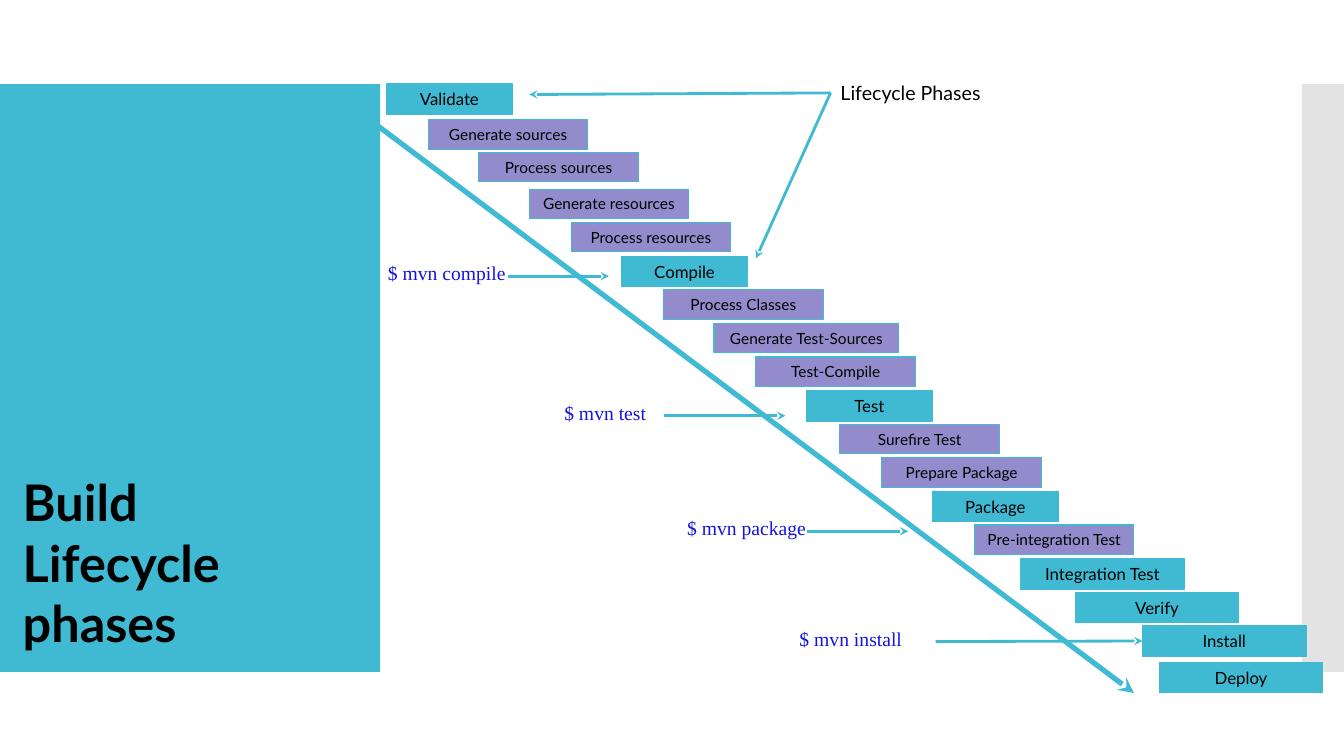
from lxml import etree
from pptx import Presentation
from pptx.dml.color import RGBColor
from pptx.enum.shapes import MSO_CONNECTOR, MSO_SHAPE
from pptx.enum.text import MSO_ANCHOR, MSO_AUTO_SIZE, PP_ALIGN
from pptx.oxml.ns import qn
from pptx.util import Pt

PX = 9525
RECTANGLE = MSO_SHAPE.RECTANGLE
STRAIGHT = MSO_CONNECTOR.STRAIGHT
TOP, MIDDLE = MSO_ANCHOR.TOP, MSO_ANCHOR.MIDDLE
LEFT, CENTER = PP_ALIGN.LEFT, PP_ALIGN.CENTER
GROW = MSO_AUTO_SIZE.SHAPE_TO_FIT_TEXT
TEAL, PURPLE, GREY, BLACK, BLUE = "40BAD2", "938BCB", "C8C8C8", "000000", "1414DE"
LEFT_SIDE = 1


def color(hex_text):
    return RGBColor.from_string(hex_text)


def write(shape, text, size, font, ink, align=LEFT, anchor=TOP, bold=False):
    frame = shape.text_frame
    frame.word_wrap = True
    frame.auto_size = GROW
    frame.vertical_anchor = anchor
    para = frame.paragraphs[0]
    para.alignment = align
    span = para.add_run()
    span.text = text
    span.font.size = Pt(size)
    span.font.name = font
    span.font.bold = bold
    span.font.color.rgb = color(ink)


deck = Presentation()
deck.slide_width, deck.slide_height = 1280 * PX, 720 * PX
page = deck.slides.add_slide(deck.slide_layouts[5])
shapes = page.shapes

for left, width, fill in [(0, 362, TEAL), (1240, 40, GREY)]:
    panel = shapes.add_shape(RECTANGLE, left * PX, 80 * PX, width * PX, 560 * PX)
    panel.shadow.inherit = False
    panel.fill.solid()
    panel.fill.fore_color.rgb = color(fill)
    panel.line.fill.background()
    if fill == GREY:
        shade = panel.element.spPr.find(qn("a:solidFill")).find(qn("a:srgbClr"))
        etree.SubElement(shade, qn("a:alpha"), val="50000")

title = shapes.title
title.left, title.top, title.width, title.height = 12 * PX, 444 * PX, 318 * PX, 126 * PX
write(title, "Build Lifecycle phases", 36, "Lato", BLACK, bold=True)
title.element.getparent().append(title.element)

phases = [
    ("Validate", 368, 80, 120, TEAL),
    ("Generate sources", 408, 114, 152, PURPLE),
    ("Process sources", 456, 145, 152, PURPLE),
    ("Generate resources", 504, 180, 152, PURPLE),
    ("Process resources", 544, 212, 152, PURPLE),
    ("Compile", 592, 244, 120, TEAL),
    ("Process Classes", 632, 276, 152, PURPLE),
    ("Generate Test-Sources", 680, 308, 176, PURPLE),
    ("Test-Compile", 720, 340, 152, PURPLE),
    ("Test", 768, 372, 120, TEAL),
    ("Surefire Test", 800, 404, 152, PURPLE),
    ("Prepare Package", 840, 436, 152, PURPLE),
    ("Package", 888, 468, 120, TEAL),
    ("Pre-integration Test", 928, 500, 152, PURPLE),
    ("Integration Test", 972, 532, 156, TEAL),
    ("Verify", 1024, 564, 156, TEAL),
    ("Install", 1088, 596, 156, TEAL),
    ("Deploy", 1104, 631, 156, TEAL),
]
phase_boxes = {}
for name, left, top, width, fill in phases:
    height, size = (29, 12) if fill == TEAL else (28, 11)
    box = shapes.add_shape(RECTANGLE, left * PX, top * PX, width * PX, height * PX)
    box.shadow.inherit = False
    box.fill.solid()
    box.fill.fore_color.rgb = color(fill)
    box.line.color.rgb = color(TEAL)
    box.line.width = Pt(0.75)
    write(box, name, size, "Lato", BLACK, CENTER, MIDDLE)
    phase_boxes[name] = box

labels = [
    ("Lifecycle Phases", 791, 72, 199, "Lato", BLACK),
    ("$ mvn compile", 360, 244, 152, "Times New Roman", BLUE),
    ("$ mvn test", 528, 377, 152, "Times New Roman", BLUE),
    ("$ mvn package", 645, 487, 152, "Times New Roman", BLUE),
    ("$ mvn install", 752, 592, 152, "Times New Roman", BLUE),
]
label_boxes = {}
for text, left, top, width, font, ink in labels:
    box = shapes.add_textbox(left * PX, top * PX, width * PX, 33 * PX)
    write(box, text, 14, font, ink)
    label_boxes[text] = box

legend = label_boxes["Lifecycle Phases"]
arrows = [
    (344, 108, 1080, 660, 3.75, None, None),
    (791, 88, 720, 246, 2, legend, None),
    (791, 88, 504, 90, 2, legend, None),
    (484, 263, 580, 263, 2, None, None),
    (632, 396, 748, 396, 2, None, None),
    (769, 506, 865, 506, 2, None, None),
    (891, 611, 1088, 611, 2, None, phase_boxes["Install"]),
]
for x1, y1, x2, y2, weight, source, target in arrows:
    arrow = shapes.add_connector(STRAIGHT, x1 * PX, y1 * PX, x2 * PX, y2 * PX)
    if source is not None:
        arrow.begin_connect(source, LEFT_SIDE)
    if target is not None:
        arrow.end_connect(target, LEFT_SIDE)
    arrow.line.color.rgb = color(TEAL)
    arrow.line.width = Pt(weight)
    etree.SubElement(arrow.line._get_or_add_ln(), qn("a:tailEnd"), type="stealth")
    etree.SubElement(arrow.element.spPr, qn("a:effectLst"))

deck.save("out.pptx")
